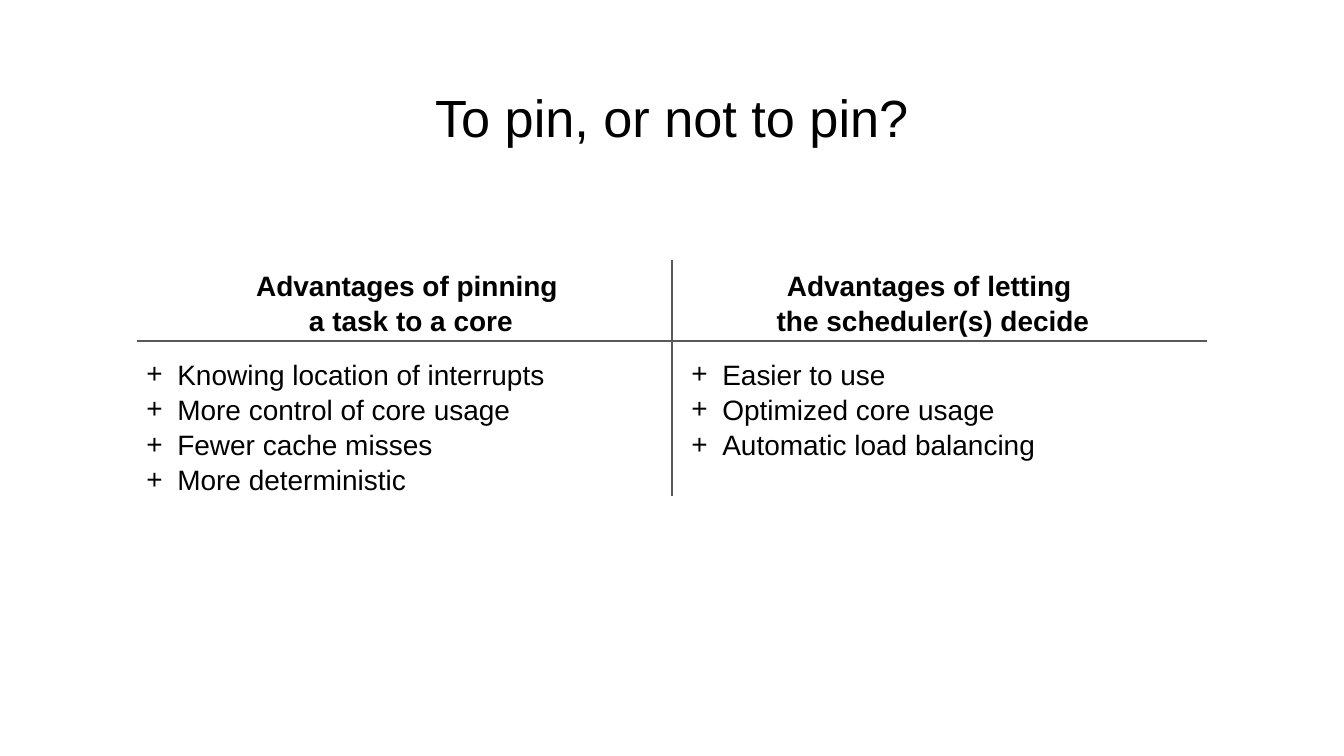
from lxml import etree
from pptx import Presentation
from pptx.dml.color import RGBColor
from pptx.enum.shapes import MSO_CONNECTOR
from pptx.enum.text import MSO_ANCHOR, MSO_AUTO_SIZE, PP_ALIGN
from pptx.oxml.ns import qn
from pptx.util import Inches, Pt

STRAIGHT = MSO_CONNECTOR.STRAIGHT
TOP = MSO_ANCHOR.TOP
FIT_SHAPE, FIXED = MSO_AUTO_SIZE.SHAPE_TO_FIT_TEXT, MSO_AUTO_SIZE.NONE
LEFT, CENTER = PP_ALIGN.LEFT, PP_ALIGN.CENTER

BLACK = RGBColor(0x00, 0x00, 0x00)
GRAY = RGBColor(0x59, 0x59, 0x59)

COLUMNS, ROWS = 20, 11.25
MARGIN = 2.04
MIDDLE = COLUMNS / 2
TABLE_TOP, RULE_ROW, TABLE_BOTTOM = 3.87, 5.08, 7.38
HEADING_WIDTH, LIST_WIDTH = 7.77, 7.81
LIST_TOP = 5.19

# heading lines, heading left, list left, advantages
SIDES = [
    (["Advantages of pinning ", "a task to a core"],
     MIDDLE - HEADING_WIDTH, MARGIN,
     ["Knowing location of interrupts", "More control of core usage",
      "Fewer cache misses", "More deterministic"]),
    (["Advantages of letting ", "the scheduler(s) decide"],
     MIDDLE, MIDDLE + 0.15,
     ["Easier to use", "Optimized core usage", "Automatic load balancing"]),
]


class SlideBuilder:
    """Draws on one page, in a grid of COLUMNS by ROWS cells."""

    font = "Arial"
    title_size = Pt(56)
    body_size = Pt(30)
    line_width = Pt(2.25)
    line_height = 1.05

    def __init__(self, deck):
        self.column = deck.slide_width / COLUMNS
        self.row = deck.slide_height / ROWS
        self.page = deck.slides.add_slide(deck.slide_layouts[6])

    def place(self, column, row):
        return round(column * self.column), round(row * self.row)

    def text(self, left, top, width, height, lines, size, align=LEFT,
             bold=False, inset=0.1, spacing=line_height, fit=FIT_SHAPE):
        box = self.page.shapes.add_textbox(*self.place(left, top),
                                           *self.place(width, height))
        frame = box.text_frame
        frame.word_wrap = True
        frame.auto_size = fit
        frame.vertical_anchor = TOP
        frame.margin_left = frame.margin_right = Inches(inset)
        frame.margin_top = frame.margin_bottom = Inches(inset)
        frame.text = "\n".join(lines)
        for para in frame.paragraphs:
            para.alignment = align
            para.line_spacing = spacing
            for span in para.runs:
                span.font.name = self.font
                span.font.size = size
                span.font.bold = bold
                span.font.color.rgb = BLACK
        return frame

    def title(self, text):
        self.text(0.68, 0.97, 18.64, 1.25, [text], self.title_size, CENTER,
                  inset=0.2, spacing=1.1, fit=FIXED)

    def heading(self, left, lines):
        self.text(left, TABLE_TOP, HEADING_WIDTH, RULE_ROW - TABLE_TOP, lines,
                  self.body_size, CENTER, bold=True)

    def plus_list(self, left, items):
        height = 0.2 + 0.505 * len(items)
        frame = self.text(left, LIST_TOP, LIST_WIDTH, height, items, self.body_size)
        for para in frame.paragraphs:
            self.bullet(para, "+")

    def bullet(self, para, sign):
        properties = para._p.get_or_add_pPr()
        properties.set("marL", str(Inches(0.5)))
        properties.set("indent", str(Inches(-0.46)))
        color = etree.SubElement(properties, qn("a:buClr"))
        etree.SubElement(color, qn("a:srgbClr"), val=str(BLACK))
        etree.SubElement(properties, qn("a:buFont"), typeface=self.font)
        etree.SubElement(properties, qn("a:buChar"), char=sign)

    def line(self, start, end):
        rule = self.page.shapes.add_connector(STRAIGHT, *self.place(*start),
                                              *self.place(*end))
        rule.line.color.rgb = GRAY
        rule.line.width = self.line_width
        etree.SubElement(rule._element.spPr, qn("a:effectLst"))


def main():
    deck = Presentation()
    deck.slide_width, deck.slide_height = Inches(20), Inches(11.25)
    builder = SlideBuilder(deck)

    builder.title("To pin, or not to pin?")
    builder.line((MARGIN, RULE_ROW), (COLUMNS - MARGIN, RULE_ROW))
    builder.line((MIDDLE, TABLE_TOP), (MIDDLE, TABLE_BOTTOM))
    for heading, heading_left, list_left, advantages in SIDES:
        builder.heading(heading_left, heading)
        builder.plus_list(list_left, advantages)

    deck.save("out.pptx")


if __name__ == "__main__":
    main()
